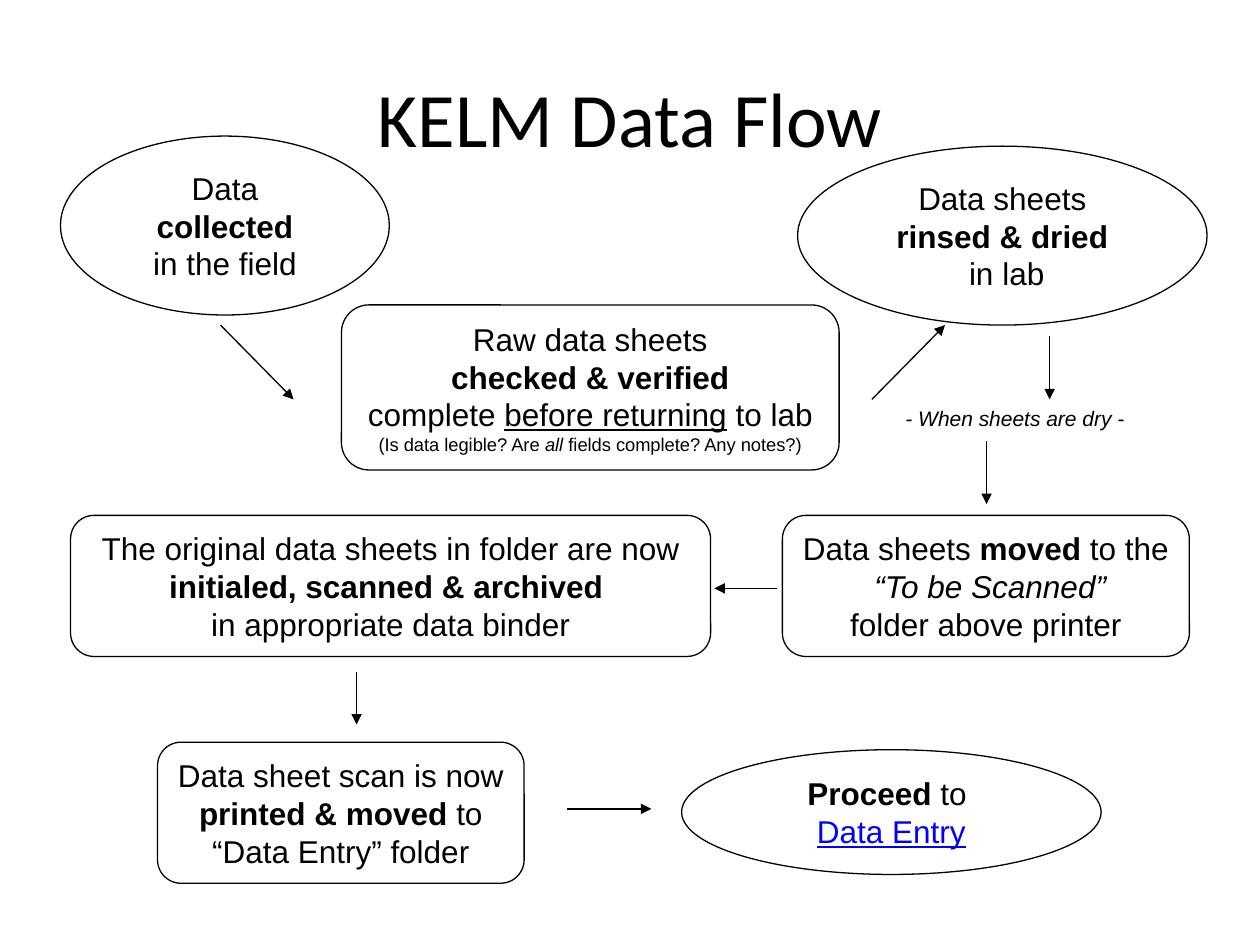
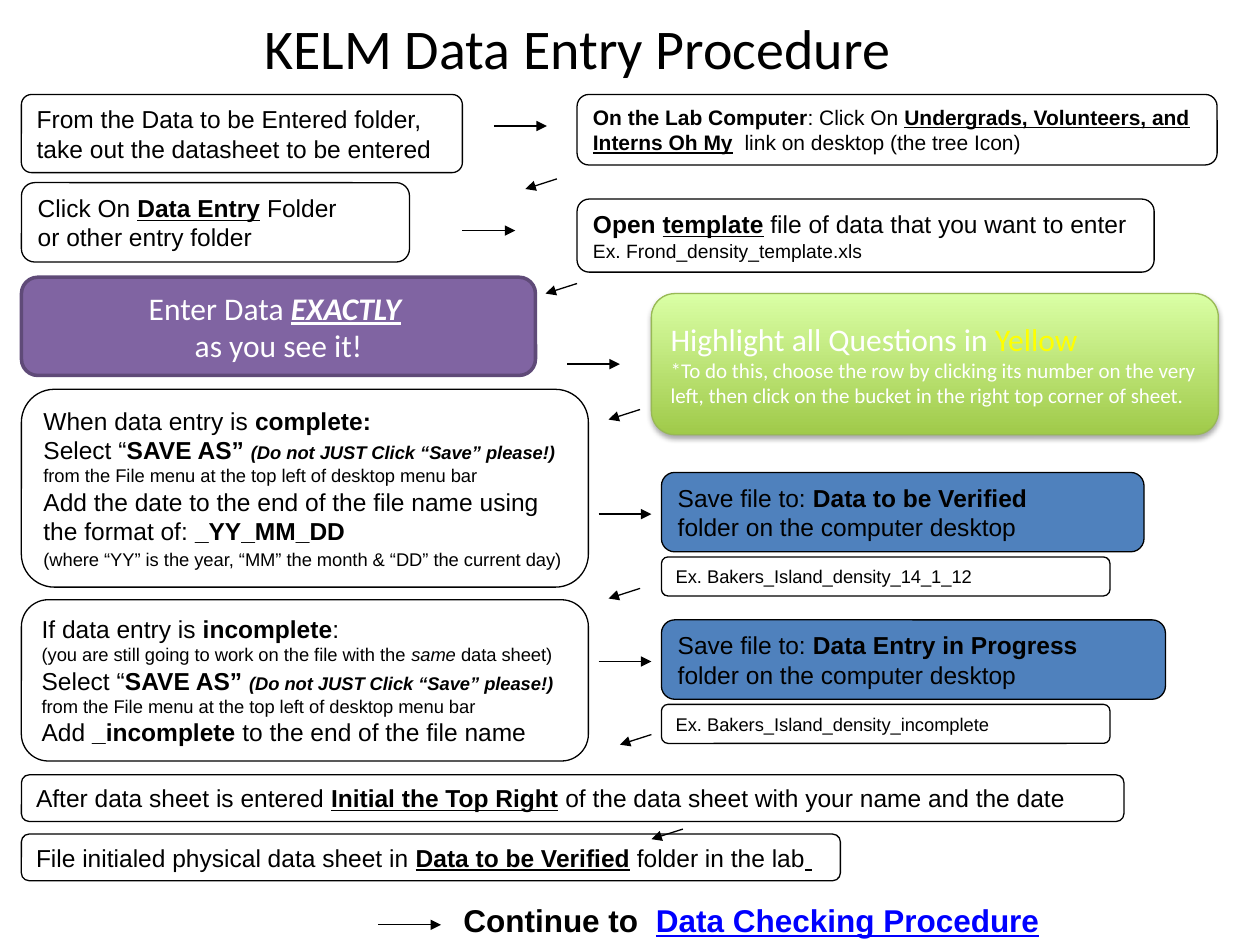
from lxml.etree import SubElement
from pptx import Presentation
from pptx.dml.color import RGBColor
from pptx.enum.shapes import MSO_CONNECTOR, MSO_SHAPE
from pptx.enum.text import MSO_ANCHOR, PP_ALIGN
from pptx.oxml.ns import qn
from pptx.util import Emu, Pt

EMU_PER_PX = 9144  # 100 px to the inch

BLACK = RGBColor(0x00, 0x00, 0x00)
WHITE = RGBColor(0xFF, 0xFF, 0xFF)
YELLOW = RGBColor(0xFF, 0xFF, 0x00)
LINK_BLUE = RGBColor(0x00, 0x00, 0xFF)
FOLDER_BLUE = RGBColor(0x4F, 0x81, 0xBD)
PURPLE = RGBColor(0x80, 0x64, 0xA2)
DARK_PURPLE = RGBColor(0x5F, 0x4A, 0x78)
GREEN = RGBColor(0xA0, 0xCA, 0x4A)
LIGHT_GREEN = RGBColor(0xDA, 0xFF, 0xA5)
GREEN_LINE = RGBColor(0x98, 0xB9, 0x55)

SMALL = 10.5
SAVE_AS = ["Select “", ("SAVE AS” ", "b"), ("(Do not JUST Click “Save” please!)", "bi", SMALL)]
FILE_MENU = ("from the File menu at the top left of desktop menu bar", "", SMALL)


def px(length):
    return Emu(round(length * EMU_PER_PX))


class SlideBuilder:
    body_font = "Arial"
    title_font = "Calibri"

    def __init__(self, presentation):
        self.presentation = presentation
        self.slide = None

    def new_slide(self, size):
        """Add a blank slide and set the text size of its boxes."""
        self.slide = self.presentation.slides.add_slide(self.presentation.slide_layouts[6])
        self.size = size

    def fill_text(self, shape, paragraphs, align, font, size, color=BLACK):
        """Fill a shape; a run is a string or (text, flags b/i/u, size, color)."""
        frame = shape.text_frame
        frame.word_wrap = True
        frame.vertical_anchor = MSO_ANCHOR.MIDDLE
        for index, runs in enumerate(paragraphs):
            paragraph = frame.add_paragraph() if index else frame.paragraphs[0]
            paragraph.alignment = align
            for item in runs:
                parts = (item,) if isinstance(item, str) else item
                text, flags, run_size, run_color = parts + ("", size, color)[len(parts) - 1:]
                run = paragraph.add_run()
                run.text = text
                run.font.name = font
                run.font.size = Pt(run_size)
                run.font.color.rgb = run_color
                run.font.bold = "b" in flags
                run.font.italic = "i" in flags
                run.font.underline = "u" in flags

    def text(self, box, paragraphs, align=PP_ALIGN.CENTER, font=None, size=None):
        shape = self.slide.shapes.add_textbox(*map(px, box))
        self.fill_text(shape, paragraphs, align, font or self.body_font, size or self.size)

    def title(self, box, words, size):
        self.text(box, [[words]], font=self.title_font, size=size)

    def box(self, box, paragraphs, align=PP_ALIGN.LEFT, kind=MSO_SHAPE.ROUNDED_RECTANGLE,
            fill=None, line=BLACK, line_width=0.75, font=None, size=None, color=BLACK):
        shape = self.slide.shapes.add_shape(kind, *map(px, box))
        shape.shadow.inherit = False
        if fill is None:
            shape.fill.background()
        else:
            shape.fill.solid()
            shape.fill.fore_color.rgb = fill
        shape.line.color.rgb = line
        shape.line.width = Pt(line_width)
        self.fill_text(shape, paragraphs, align, font or self.body_font, size or self.size, color)
        return shape

    def step(self, box, *paragraphs, kind=MSO_SHAPE.ROUNDED_RECTANGLE):
        self.box(box, paragraphs, PP_ALIGN.CENTER, kind)

    def oval(self, box, *paragraphs):
        self.step(box, *paragraphs, kind=MSO_SHAPE.OVAL)

    def glow_down(self, shape, bottom, top):
        """Give a shape a vertical gradient and a soft shadow below it."""
        shape.fill.gradient()
        shape.fill.gradient_angle = 90
        for stop, color in zip(shape.fill.gradient_stops, (bottom, top)):
            stop.color.rgb = color
        effects = shape.element.spPr.find(qn("a:effectLst"))
        shadow = SubElement(effects, qn("a:outerShdw"), blurRad="40000", dist="23000",
                            dir="5400000", rotWithShape="0")
        shade = SubElement(shadow, qn("a:srgbClr"), val=str(BLACK))
        SubElement(shade, qn("a:alpha"), val="35000")

    def arrow(self, x, y, across, down):
        connector = self.slide.shapes.add_connector(
            MSO_CONNECTOR.STRAIGHT, px(x), px(y), px(x + across), px(y + down))
        connector.line.color.rgb = BLACK
        connector.line.width = Pt(0.75)
        properties = connector.element.spPr
        SubElement(properties.find(qn("a:ln")), qn("a:tailEnd"), type="triangle")
        SubElement(properties, qn("a:effectLst"))


def build_data_flow(builder):
    builder.new_slide(18)
    builder.title((50, 30, 900, 125), "KELM Data Flow", 44)
    builder.oval((48, 108, 261, 142), ["Data"], [("collected", "b")], ["in the field"])
    builder.oval((633, 116, 325, 142), ["Data sheets"], [("rinsed & dried", "b")], [" in lab"])
    builder.oval((541, 595, 333, 99), [("Proceed ", "b"), "to "],
                 [("Data Entry", "u", 18, LINK_BLUE)])
    builder.step((271, 242, 395, 131),
                 ["Raw data sheets"],
                 [("checked & verified", "b")],
                 ["complete ", ("before returning", "u"), " to lab"],
                 [("(Is data legible? Are", "", SMALL), (" all ", "i", SMALL),
                  ("fields complete? Any notes?)", "", SMALL)])
    builder.step((56, 409, 508, 112),
                 ["The original data sheets in folder are now"],
                 [("initialed, scanned & archived ", "b")],
                 ["in appropriate data binder"])
    builder.step((621, 409, 323, 112),
                 ["Data sheets ", ("moved", "b"), " to the "],
                 [" ", ("“To be Scanned”", "i")],
                 ["folder above printer"])
    builder.step((125, 589, 291, 112),
                 ["Data sheet scan is now"],
                 [("printed & moved", "b"), " to"],
                 ["“Data Entry” folder"])
    builder.text((708, 317, 200, 30), [[("- When sheets are dry - ", "i")]], size=12)
    for arrow in ((175, 258, 58, 59), (692, 317, 58, -59), (833, 267, 0, 50),
                  (783, 350, 0, 50), (617, 467, -50, 0), (283, 533, 0, 42),
                  (450, 642, 67, 0)):
        builder.arrow(*arrow)


def build_data_entry(builder):
    builder.new_slide(14)
    builder.title((67, 0, 783, 74), "KELM Data Entry Procedure", 32)

    left, middle, right = 17, 458, 525
    builder.box((left, 476, 450, 128), [
        ["If data entry is ", ("incomplete", "b"), ":"],
        [("(you are still going to work on the file with the ", "", SMALL),
         ("same", "i", SMALL), (" data sheet)", "", SMALL)],
        SAVE_AS,
        [FILE_MENU],
        ["Add ", ("_incomplete", "b"), " to the end of the file name"]])
    take_out = builder.box((left, 75, 350, 62), [
        ["From the Data to be Entered folder,"], ["take out the datasheet to be entered"]])
    take_out.adjustments[0] = 0.13
    builder.box((left, 145, 308, 63), [
        ["Click On ", ("Data Entry", "bu"), " Folder"], ["or other entry folder"]])
    builder.box((middle, 75, 508, 56), [
        [("On the Lab Computer", "b"), ": Click On ",
         ("Undergrads, Volunteers, and Interns Oh My", "bu"),
         "  link on desktop (the tree Icon)"]], size=12)
    builder.box((middle, 158, 458, 58), [
        [("Open ", "b"), ("template", "bu"), " file of data that you want to enter"],
        [("Ex. Frond_density_template.xls", "", 11)]])
    builder.box((left, 220, 408, 78), [
        ["Enter Data ", ("EXACTLY", "biu"), " "], ["as you see it!"]],
        PP_ALIGN.CENTER, fill=PURPLE, line=DARK_PURPLE, line_width=2,
        font="Calibri", size=18, color=WHITE)
    highlight = builder.box((517, 233, 450, 112), [
        ["Highlight all Questions in ", ("Yellow", "", 18, YELLOW)],
        [("*To do this, choose the row by clicking its number on the very left, "
          "then click on the bucket in the right top corner of sheet.", "", 12)]],
        line=GREEN_LINE, font="Calibri", size=18, color=WHITE)
    builder.glow_down(highlight, GREEN, LIGHT_GREEN)
    builder.box((left, 309, 450, 157), [
        ["When data entry is ", ("complete:", "b")],
        SAVE_AS,
        [FILE_MENU],
        ["Add the date to the end of the file name using the format of: ",
         ("_YY_MM_DD ", "b")],
        [("(where “YY” is the year, “MM” the month & “DD” the current day)", "", SMALL),
         (" ", "", 12)]])

    for top, width, folder, example in (
            (375, 383, "Data to be Verified ", "Ex. Bakers_Island_density_14_1_12"),
            (492, 400, "Data Entry in Progress", "Ex. Bakers_Island_density_incomplete")):
        builder.box((right, top, width, 63), [
            ["Save file to: ", (folder, "b")], ["folder on the computer desktop"]],
            fill=FOLDER_BLUE)
        builder.box((right, top + 67, 356, 31), [[example]], size=SMALL)

    builder.box((left, 615, 875, 37), [
        ["After data sheet is entered ", ("Initial the Top Right", "bu"),
         " of the data sheet with your name and the date"]])
    builder.box((left, 662, 650, 37), [
        ["File initialed physical data sheet in ", ("Data to be Verified", "bu"),
         " folder in the lab", (" ", "bu")]])
    builder.text((358, 710, 492, 40), [
        [("Continue to  ", "b"), ("Data Checking Procedure", "bu", 18, LINK_BLUE)]],
        PP_ALIGN.LEFT, size=18)

    for x, y in ((392, 100), (367, 183), (450, 289), (475, 408), (475, 525)):
        builder.arrow(x, y, 42, 0)
    for x, y in ((442, 142), (458, 225), (508, 325), (508, 467), (517, 583), (542, 658)):
        builder.arrow(x, y, -25, 8)
    builder.arrow(300, 734, 50, 0)


def main():
    presentation = Presentation()
    presentation.slide_width = px(1000)
    presentation.slide_height = px(750)
    builder = SlideBuilder(presentation)
    build_data_flow(builder)
    build_data_entry(builder)
    presentation.save("out.pptx")


if __name__ == "__main__":
    main()
